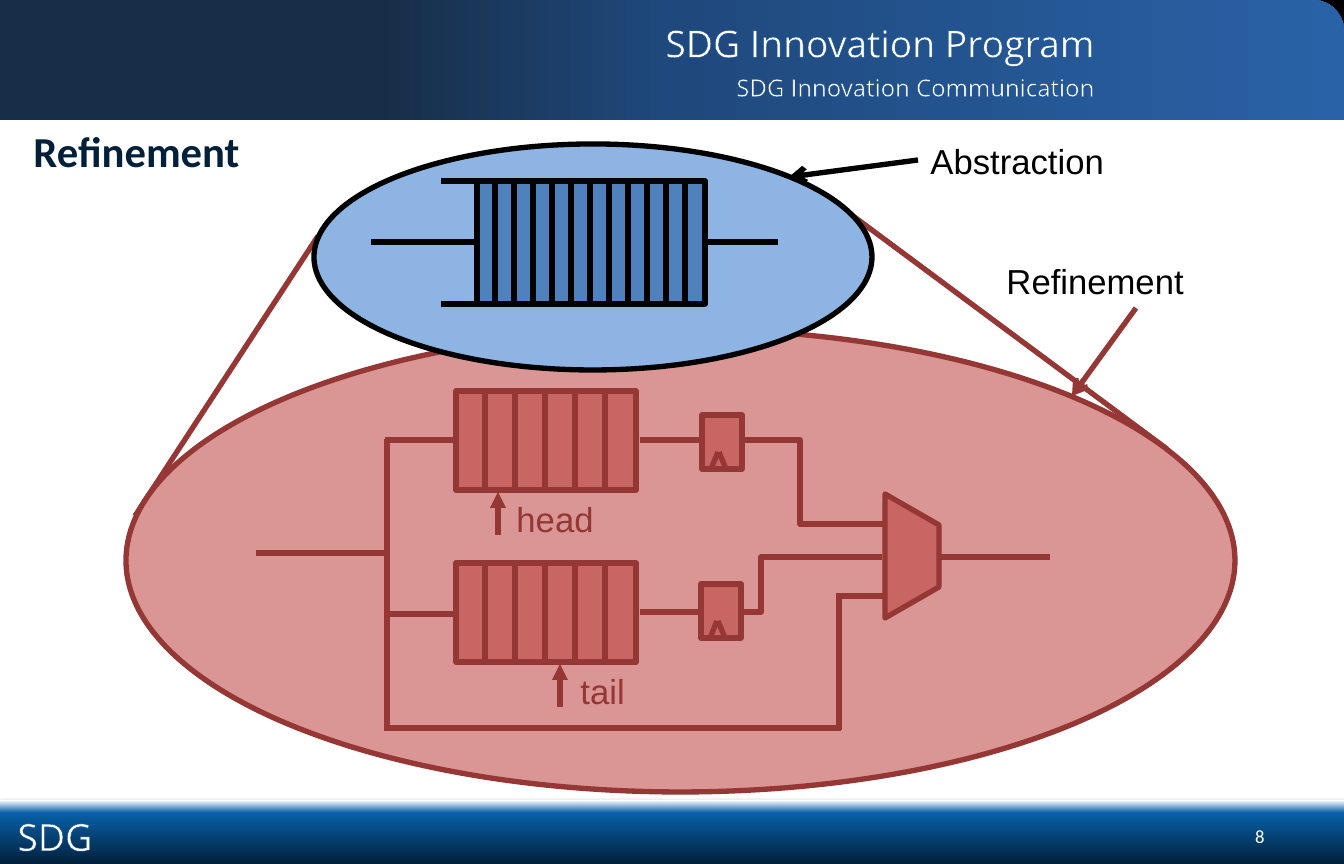
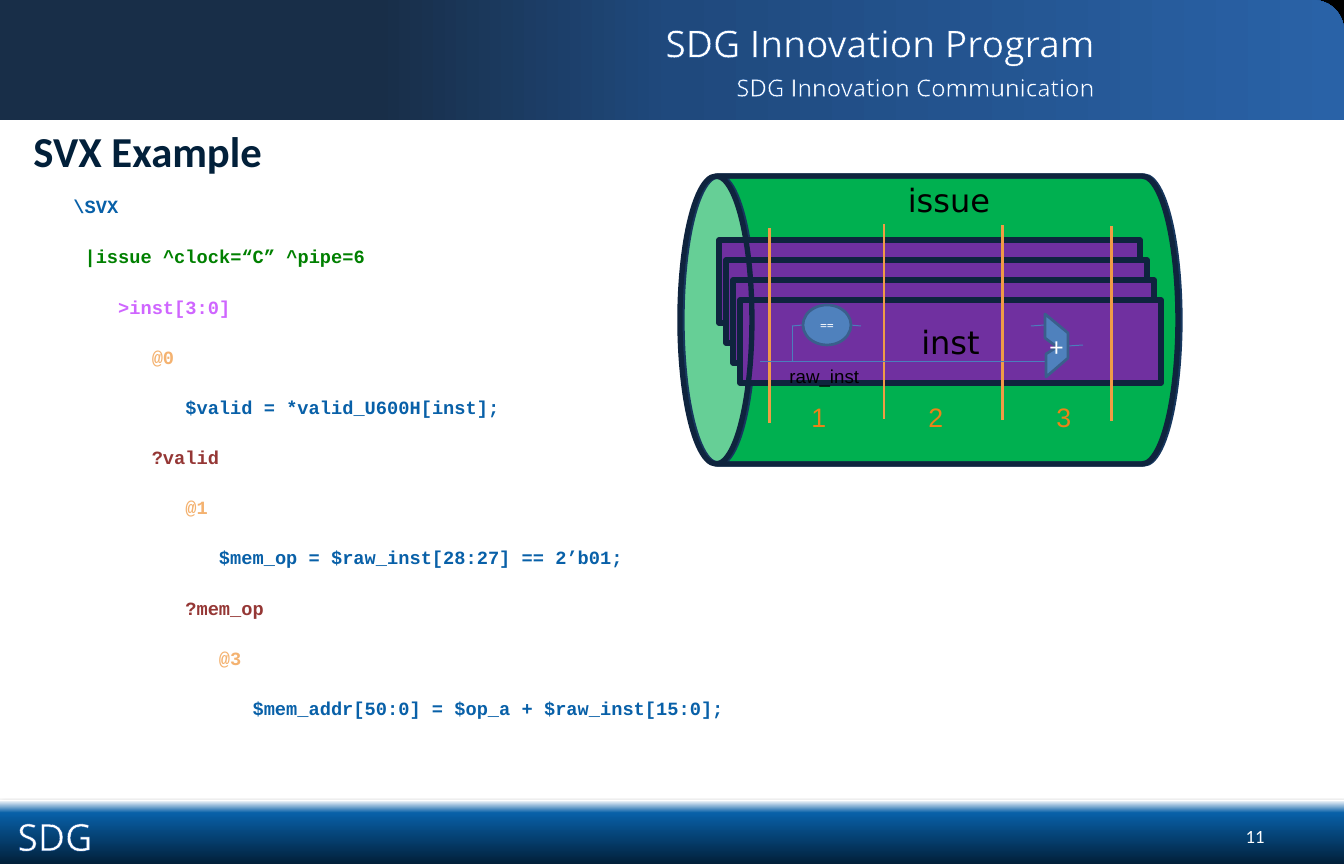
from dataclasses import dataclass

from lxml.etree import SubElement
from pptx import Presentation
from pptx.dml.color import RGBColor
from pptx.enum.shapes import MSO_CONNECTOR, MSO_SHAPE
from pptx.enum.text import MSO_ANCHOR, PP_ALIGN
from pptx.oxml.ns import qn
from pptx.util import Pt

PX = 9525  # EMU per pixel
WIDTH, HEIGHT = 1344, 864


@dataclass(frozen=True)
class Theme:
    white: str = "FFFFFF"
    black: str = "000000"
    navy: str = "02203A"
    blue: str = "0860A8"
    outline: str = "054697"
    header: tuple = ((28, "182E48"), (50, "1F497D"), (100, "2962A7"))
    footer: tuple = ((0, "02203A"), (80, "0860A8"), (100, "FFFFFF"))
    refined: str = "D99694"
    block: str = "C86664"
    wire: str = "953735"
    abstract: str = "8EB4E3"
    cell: str = "4F81BD"
    pipe: str = "00B050"
    pipe_edge: str = "17375E"
    card: str = "7030A0"
    card_edge: str = "0F243E"
    stage: str = "F09B46"
    stage_number: str = "EC8218"
    logic_edge: str = "3A5F8C"
    logic_wire: str = "4B7EBC"
    code_scope: str = "008000"
    code_index: str = "CF65FF"
    code_stage: str = "F4B270"
    brand_font: str = "Open Sans"
    title_font: str = "Calibri"
    label_font: str = "Arial"
    pipe_font: str = "DejaVu Sans"
    code_font: str = "Courier New"
    title: int = 32
    brand: int = 28
    label: int = 26
    pipe_label: int = 24
    number: int = 20
    subtitle: int = 18
    small: int = 14
    tiny: float = 10.5


theme = Theme()


def draw(slide, kind, geometry, fill=None, line=None, width=4, arrow=None, angle=0):
    """Connector: x1, y1, x2, y2. Preset: left, top, width, height. Freeform: points."""
    is_connector = isinstance(kind, MSO_CONNECTOR)
    if kind == "freeform":
        builder = slide.shapes.build_freeform(*geometry[0], scale=PX)
        shape = builder.add_line_segments(geometry[1:]).convert_to_shape()
    else:
        add = slide.shapes.add_connector if is_connector else slide.shapes.add_shape
        shape = add(kind, *[round(value * PX) for value in geometry])
    properties = shape._element.spPr

    if isinstance(fill, tuple):
        shape.fill.gradient()
        shape.fill.gradient_angle = angle
        stops = properties.find(qn("a:gradFill")).find(qn("a:gsLst"))
        for stop in list(stops):
            stops.remove(stop)
        for position, color in fill:
            stop = SubElement(stops, qn("a:gs"), pos=str(position * 1000))
            SubElement(stop, qn("a:srgbClr"), val=color)
    elif fill:
        shape.fill.solid()
        shape.fill.fore_color.rgb = RGBColor.from_string(fill)
    elif not is_connector:
        shape.fill.background()

    if line:
        shape.line.color.rgb = RGBColor.from_string(line)
        shape.line.width = Pt(width)
    else:
        shape.line.fill.background()
    if arrow:
        SubElement(properties.find(qn("a:ln")), qn("a:tailEnd"), type=arrow)
    SubElement(properties, qn("a:effectLst"))
    return shape


def write(target, text, box=None, size=theme.label, color=theme.black,
          font=theme.label_font, bold=False, align=PP_ALIGN.LEFT,
          anchor=MSO_ANCHOR.TOP, inset=(9.6, 4.8), wrap=True, outline=None):
    """Write into a new text box on a slide when box is given, else into a shape."""
    if box:
        target = target.shapes.add_textbox(*[round(value * PX) for value in box])
    frame = target.text_frame
    frame.word_wrap = wrap
    frame.vertical_anchor = anchor
    frame.margin_left = frame.margin_right = round(inset[0] * PX)
    frame.margin_top = frame.margin_bottom = round(inset[1] * PX)
    frame.text = text
    for paragraph in frame.paragraphs:
        paragraph.alignment = align
        for run in paragraph.runs:
            run.font.name, run.font.size, run.font.bold = font, Pt(size), bold
            run.font.color.rgb = RGBColor.from_string(color)
            if outline:
                run_properties = run._r.get_or_add_rPr()
                edge = SubElement(run_properties, qn("a:ln"), w=str(Pt(1)))
                SubElement(SubElement(edge, qn("a:solidFill")), qn("a:srgbClr"), val=outline)
                run_properties.insert(0, edge)
    return target


presentation = Presentation()
presentation.slide_width, presentation.slide_height = WIDTH * PX, HEIGHT * PX
slides = []

# Shared frame: page, footer, header, title
for title, number in (("Refinement", "8"), ("SVX Example", "11")):
    slide = presentation.slides.add_slide(presentation.slide_layouts[6])
    slides.append(slide)
    draw(slide, MSO_SHAPE.RECTANGLE, (0, 0, WIDTH, HEIGHT), theme.black, theme.black, 2)
    page = draw(slide, MSO_SHAPE.ROUND_1_RECTANGLE, (0, 0, WIDTH, HEIGHT), theme.white)
    page.adjustments[0] = 0.036

    footer = draw(slide, MSO_SHAPE.RECTANGLE, (0, 800, WIDTH, 64), theme.footer, angle=90)
    shadow = SubElement(footer._element.spPr.find(qn("a:effectLst")), qn("a:outerShdw"),
                        blurRad=str(Pt(3.1)), dist=str(Pt(1.8)), dir="5400000")
    shadow_color = SubElement(shadow, qn("a:srgbClr"), val=theme.black)
    SubElement(shadow_color, qn("a:alpha"), val="35000")
    write(slide, number, (1210, 820, 64, 33), theme.small, theme.white,
          theme.title_font, align=PP_ALIGN.RIGHT)

    header = draw(slide, MSO_SHAPE.ROUND_1_RECTANGLE, (0, 0, WIDTH, 120), theme.header)
    header.adjustments[0] = 0.257
    for text, box, size, align in (
        ("SDG", (8, 808, 144, 56), theme.brand, PP_ALIGN.LEFT),
        ("SDG Innovation Program", (336, 10, 768, 65), theme.brand, PP_ALIGN.RIGHT),
        ("SDG Innovation Communication", (336, 67, 768, 40), theme.subtitle, PP_ALIGN.RIGHT),
    ):
        write(slide, text, box, size, theme.white, theme.brand_font, align=align,
              anchor=MSO_ANCHOR.MIDDLE, outline=theme.outline)
    write(slide, title, (24, 120, 1288, 64), theme.title, theme.navy,
          theme.title_font, bold=True)

refinement, example = slides

# Refinement: the two ovals and their tangents
for tangent in ((318, 236, 135, 516), (849, 213, 1167, 449)):
    draw(refinement, MSO_CONNECTOR.STRAIGHT, tangent, line=theme.wire)
draw(refinement, MSO_SHAPE.OVAL, (126, 329, 1109, 463), theme.refined, theme.wire)
draw(refinement, MSO_SHAPE.OVAL, (314, 144, 558, 226), theme.abstract, theme.black)

# Memories with their pointers
for top, pointer, label, label_left in ((391, 498, "head", 504), (563, 560, "tail", 568)):
    draw(refinement, MSO_SHAPE.RECTANGLE, (456, top, 180, 99), theme.block, theme.wire)
    for column in range(5):
        x = 485 + 30 * column
        draw(refinement, MSO_CONNECTOR.STRAIGHT, (x, top, x, top + 99), line=theme.wire)
    draw(refinement, MSO_CONNECTOR.STRAIGHT, (pointer, top + 144, pointer, top + 101),
         line=theme.wire, arrow="triangle")
    write(refinement, label, (label_left, top + 100, 104, 55), color=theme.wire,
          inset=(12.5, 6.7))

# Multiplexer and wires
draw(refinement, "freeform", ((885, 618), (939, 587), (939, 525), (885, 494)),
     theme.block, theme.wire)
head_wire = draw(refinement, MSO_CONNECTOR.ELBOW, (640, 440, 883, 524), line=theme.wire)
guides = head_wire._element.spPr.find(qn("a:prstGeom")).get_or_add_avLst()
SubElement(guides, qn("a:gd"), name="adj1", fmla="val 65800")
draw(refinement, MSO_CONNECTOR.ELBOW, (640, 612, 882, 557), line=theme.wire)
for wire in (
    (387, 439, 387, 730), (384, 728, 841, 728), (839, 730, 839, 595),
    (836, 596, 885, 596), (458, 614, 385, 614), (938, 557, 1050, 557),
    (454, 440, 385, 440), (385, 553, 256, 553),
):
    draw(refinement, MSO_CONNECTOR.STRAIGHT, wire, line=theme.wire)

# Registers with clock marks
for left, top in ((702, 415), (701, 584)):
    draw(refinement, MSO_SHAPE.RECTANGLE, (left, top, 40, 54), theme.block, theme.wire)
    for foot, peak in ((9, 16), (24, 17)):
        draw(refinement, MSO_CONNECTOR.STRAIGHT,
             (left + foot, top + 54, left + peak, top + 37), line=theme.wire)

# Abstract queue
draw(refinement, MSO_CONNECTOR.STRAIGHT, (371, 242, 778, 242), line=theme.black)
draw(refinement, MSO_SHAPE.RECTANGLE, (477, 181, 228, 123), theme.cell, theme.black)
for y in (181, 304):
    draw(refinement, MSO_CONNECTOR.STRAIGHT, (477, y, 441, y), line=theme.black)
for column in range(11):
    x = 495 + 19 * column
    draw(refinement, MSO_CONNECTOR.STRAIGHT, (x, 182, x, 305), line=theme.black)

# Callouts
for text, box, pointer, color in (
    ("Abstraction", (918, 133, 201, 55), (918, 160, 789, 177), theme.black),
    ("Refinement", (994, 253, 283, 55), (1136, 308, 1072, 396), theme.wire),
):
    write(refinement, text, box, inset=(12.5, 6.7))
    draw(refinement, MSO_CONNECTOR.STRAIGHT, pointer, line=color, arrow="arrow")

# Example code: indent in characters, text, colour
code = (
    (0, "\\SVX", theme.blue),
    (1, "|issue ^clock=“C” ^pipe=6", theme.code_scope),
    (4, ">inst[3:0]", theme.code_index),
    (7, "@0", theme.code_stage),
    (10, "$valid = *valid_U600H[inst];", theme.blue),
    (7, "?valid", theme.wire),
    (10, "@1", theme.code_stage),
    (13, "$mem_op = $raw_inst[28:27] == 2’b01;", theme.blue),
    (10, "?mem_op", theme.wire),
    (13, "@3", theme.code_stage),
    (16, "$mem_addr[50:0] = $op_a + $raw_inst[15:0];", theme.blue),
)
listing = write(example, "\n".join(text for _, text, _ in code), (64, 168, 863, 493),
                theme.small, font=theme.code_font, bold=True)
for paragraph, (indent, _, color) in zip(listing.text_frame.paragraphs, code):
    paragraph.line_spacing, paragraph.space_before = 2.0, Pt(4)
    paragraph._p.get_or_add_pPr().set("marL", str(round(indent * 11.2 * PX)))
    paragraph.runs[0].font.color.rgb = RGBColor.from_string(color)

# Pipeline with stacked instructions
pipe = draw(example, MSO_SHAPE.CAN, (787, 71, 288, 498), theme.pipe, theme.pipe_edge)
pipe.rotation = 270
write(pipe, "issue", size=theme.pipe_label, font=theme.pipe_font,
      align=PP_ALIGN.CENTER, wrap=False)
pipe.text_frame._txBody.bodyPr.set("vert", "vert")
for layer in range(4):
    card = draw(example, MSO_SHAPE.RECTANGLE, (719 + 7 * layer, 240 + 20 * layer, 421, 83),
                theme.card, theme.card_edge)
write(card, "inst", size=theme.pipe_label, font=theme.pipe_font,
      align=PP_ALIGN.CENTER, anchor=MSO_ANCHOR.MIDDLE)

# Stages
for x, top in ((770, 228), (884, 224), (1003, 225), (1112, 226)):
    draw(example, MSO_CONNECTOR.STRAIGHT, (x, top, x, top + 195), line=theme.stage, width=2.25)
for text, left in (("1", 802), ("2", 919), ("3", 1047)):
    write(example, text, (left, 396, 44, 54), theme.number, theme.stage_number)
pipe_rim = draw(example, MSO_SHAPE.CAN, (785, 71, 288, 498), line=theme.card_edge)
pipe_rim.rotation = 270

# Logic inside the instruction
for wire in (
    (760, 362, 1047, 362), (1031, 326, 1045, 325), (792, 362, 792, 326),
    (803, 325, 792, 326), (850, 325, 861, 326), (1068, 346, 1083, 345),
):
    draw(example, MSO_CONNECTOR.STRAIGHT, wire, line=theme.logic_wire, width=0.75)
comparator = draw(example, MSO_SHAPE.OVAL, (803, 305, 48, 40), theme.cell, theme.logic_edge, 2)
adder = draw(example, "freeform",
             ((1045, 314), (1045, 338), (1057, 347), (1046, 354), (1046, 377),
              (1068, 358), (1068, 333)), theme.cell, theme.logic_edge, 2)
for shape, text, size in ((comparator, "==", theme.tiny), (adder, "+", theme.number)):
    write(shape, text, size=size, color=theme.white, font=theme.title_font,
          align=PP_ALIGN.CENTER, anchor=MSO_ANCHOR.MIDDLE, wrap=False)
write(example, "raw_inst", (780, 360, 89, 33), theme.small)

presentation.save("out.pptx")
